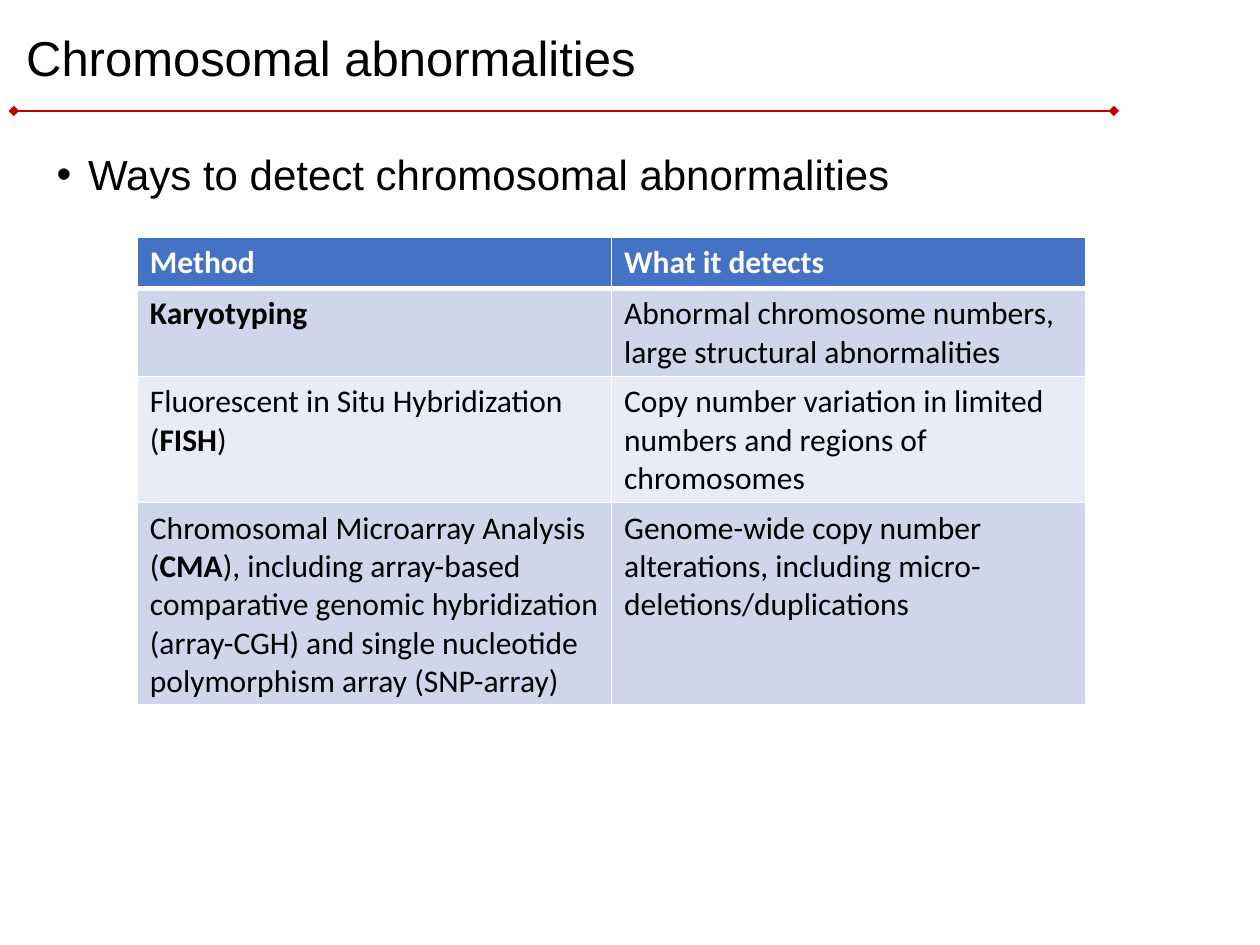
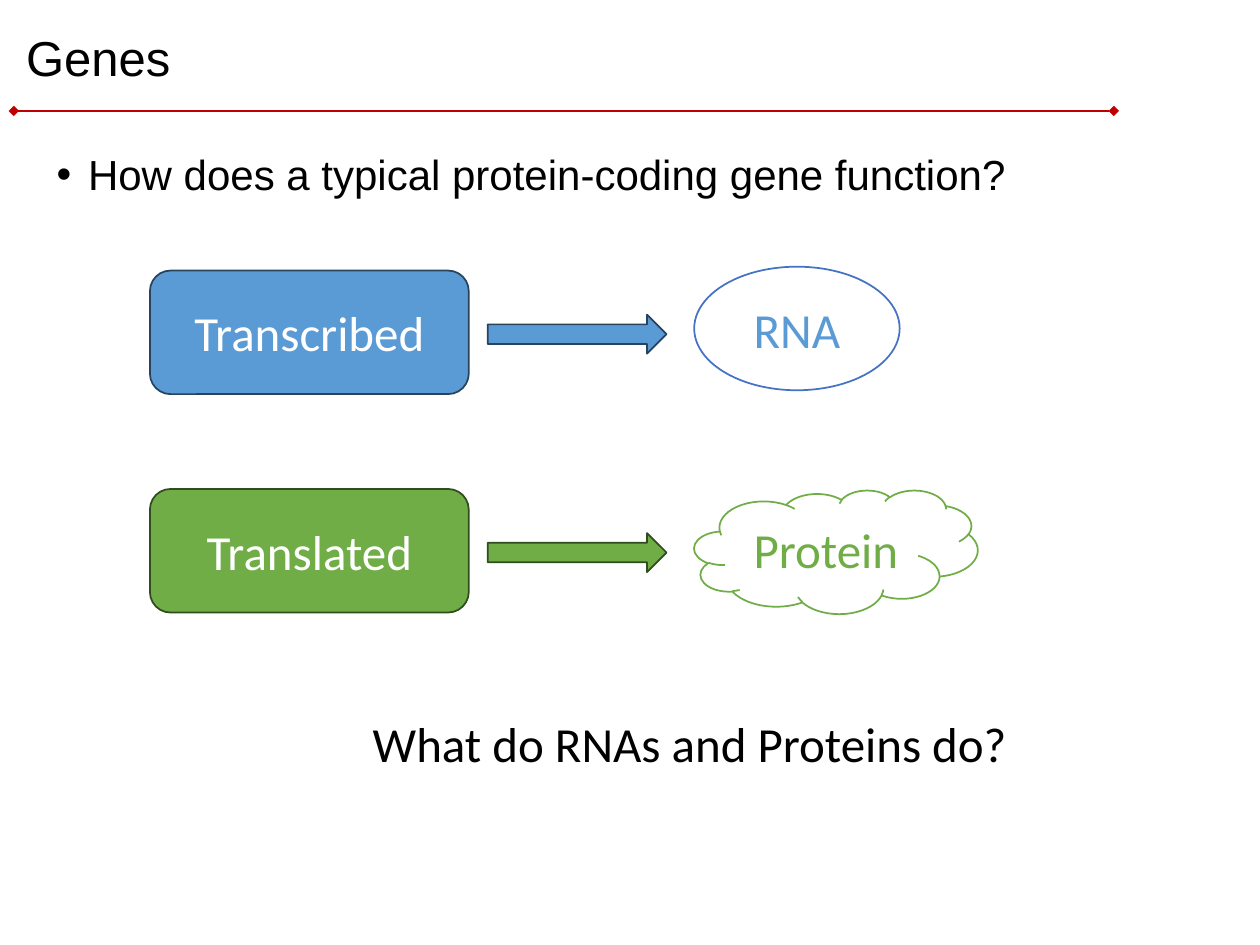
from lxml import etree
from pptx import Presentation
from pptx.dml.color import RGBColor
from pptx.enum.shapes import MSO_CONNECTOR, MSO_SHAPE
from pptx.enum.text import MSO_ANCHOR, MSO_AUTO_SIZE, PP_ALIGN
from pptx.oxml.ns import qn
from pptx.util import Pt

STRAIGHT = MSO_CONNECTOR.STRAIGHT
ROUNDED, ARROW = MSO_SHAPE.ROUNDED_RECTANGLE, MSO_SHAPE.RIGHT_ARROW
ELLIPSE, CLOUD = MSO_SHAPE.OVAL, MSO_SHAPE.CLOUD
MIDDLE, TOP = MSO_ANCHOR.MIDDLE, MSO_ANCHOR.TOP
CENTER = PP_ALIGN.CENTER
GROW = MSO_AUTO_SIZE.SHAPE_TO_FIT_TEXT

BLACK = RGBColor(0x00, 0x00, 0x00)
WHITE = RGBColor(0xFF, 0xFF, 0xFF)
RED = RGBColor(0xC0, 0x00, 0x00)
HEADER_BLUE = RGBColor(0x44, 0x72, 0xC4)
BAND_DARK = RGBColor(0xCF, 0xD5, 0xEA)
BAND_LIGHT = RGBColor(0xE9, 0xEB, 0xF5)
BLUE = RGBColor(0x5B, 0x9B, 0xD5)
BLUE_EDGE = RGBColor(0x28, 0x44, 0x5D)
GREEN = RGBColor(0x70, 0xAD, 0x47)
GREEN_EDGE = RGBColor(0x31, 0x4C, 0x1F)

HEADING_FONT, CONTENT_FONT = "Arial", "Calibri"
TITLE_BOX = (7.9, 4.3, 653, 60.5)
BODY_BOX = (25.2, 75.6, 663, 411)
RULE_LEFT, RULE_RIGHT, RULE_Y = 7.9, 636.5, 63.4

# Each cell is a list of (text, bold) runs.
METHODS = [
    ([("Method", True)], [("What it detects", True)]),
    ([("Karyotyping", True)],
     [("Abnormal chromosome numbers, large structural abnormalities", False)]),
    ([("Fluorescent in Situ Hybridization (", False), ("FISH", True), (")", False)],
     [("Copy number variation in limited numbers and regions of chromosomes", False)]),
    ([("Chromosomal Microarray Analysis (", False), ("CMA", True),
      ("), including array-based comparative genomic hybridization (array-CGH) "
       "and single nucleotide polymorphism array (SNP-array)", False)],
     [("Genome-wide copy number alterations, including "
       "micro-deletions/duplications", False)]),
]


def points(*lengths):
    return [Pt(length) for length in lengths]


def style_font(font, name, size, color, bold=False):
    font.name, font.size, font.bold = name, Pt(size), bold
    font.color.rgb = color


def add_text(slide, box, text, font_name, size, anchor=TOP, wrap=True):
    text_box = slide.shapes.add_textbox(*points(*box))
    frame = text_box.text_frame
    frame.word_wrap = wrap
    frame.vertical_anchor = anchor
    frame.text = text
    style_font(frame.paragraphs[0].runs[0].font, font_name, size, BLACK)
    return frame


def add_rule(slide):
    rule = slide.shapes.add_connector(
        STRAIGHT, *points(RULE_LEFT, RULE_Y, RULE_RIGHT, RULE_Y))
    rule.line.color.rgb = RED
    rule.line.width = Pt(1)
    line = rule.line._get_or_add_ln()
    for end in ("a:headEnd", "a:tailEnd"):
        etree.SubElement(line, qn(end), type="diamond")
    etree.SubElement(rule._element.spPr, qn("a:effectLst"))


def add_bullet(paragraph, indent):
    properties = paragraph._p.get_or_add_pPr()
    properties.set("marL", str(Pt(indent)))
    properties.set("indent", str(Pt(-indent)))
    etree.SubElement(properties, qn("a:buFont"), typeface=HEADING_FONT)
    etree.SubElement(properties, qn("a:buChar"), char="•")


def add_titled_slide(presentation, title, topic):
    slide = presentation.slides.add_slide(presentation.slide_layouts[6])
    add_rule(slide)
    heading = add_text(slide, TITLE_BOX, title, HEADING_FONT, 28, MIDDLE)
    heading.paragraphs[0].line_spacing = 0.9
    body = add_text(slide, BODY_BOX, topic, HEADING_FONT, 24)
    add_bullet(body.paragraphs[0], 18)
    body.paragraphs[0].line_spacing = 1.2
    return slide


def set_borders(cell, top, bottom):
    """Draw white edges; top and bottom are widths in points."""
    properties = cell._tc.get_or_add_tcPr()
    for side, width in (("L", 1), ("R", 1), ("T", top), ("B", bottom)):
        edge = etree.SubElement(properties, qn(f"a:ln{side}"), w=str(Pt(width)))
        fill = etree.SubElement(edge, qn("a:solidFill"))
        etree.SubElement(fill, qn("a:srgbClr"), val=str(WHITE))


def add_methods_table(slide, left, top, width, row_height):
    height = row_height * len(METHODS)
    table = slide.shapes.add_table(
        len(METHODS), 2, *points(left, top, width, height)).table
    for row, contents in enumerate(METHODS):
        is_header = row == 0
        if is_header:
            fill, color = HEADER_BLUE, WHITE
        else:
            fill, color = (BAND_DARK if row % 2 else BAND_LIGHT), BLACK
        for column, runs in enumerate(contents):
            cell = table.cell(row, column)
            set_borders(cell, 3 if row == 1 else 1, 3 if is_header else 1)
            cell.fill.solid()
            cell.fill.fore_color.rgb = fill
            paragraph = cell.text_frame.paragraphs[0]
            for text, bold in runs:
                run = paragraph.add_run()
                run.text = text
                style_font(run.font, CONTENT_FONT, 18, color, bold)


def add_figure(slide, preset, box, fill, edge, label="", label_color=WHITE):
    figure = slide.shapes.add_shape(preset, *points(*box))
    figure.shadow.inherit = False
    figure.fill.solid()
    figure.fill.fore_color.rgb = fill
    figure.line.color.rgb = edge
    figure.line.width = Pt(1)
    if label:
        frame = figure.text_frame
        frame.text = label
        frame.vertical_anchor = MIDDLE
        frame.paragraphs[0].alignment = CENTER
        style_font(frame.paragraphs[0].runs[0].font, CONTENT_FONT, 28, label_color)


def add_gene_step(slide, left, top, step, color, edge, product):
    """Draw a step, an arrow and its product; product offset is from top."""
    name, preset, width, offset, product_edge = product
    add_figure(slide, ROUNDED, (left, top, 182.2, 70.6), color, edge, step)
    add_figure(slide, ARROW, (left + 193, top + 25.2, 102.2, 22.3), color, edge)
    add_figure(slide, preset, (left + 311, top + offset, width, 70.6),
               WHITE, product_edge, name, color)


def build_abnormalities_slide(presentation):
    slide = add_titled_slide(presentation, "Chromosomal abnormalities",
                             "Ways to detect chromosomal abnormalities")
    add_methods_table(slide, 78.5, 135.6, 542, 29.2)


def build_genes_slide(presentation):
    slide = add_titled_slide(presentation, "Genes",
                             "How does a typical protein-coding gene function?")
    steps = [
        ("Transcribed", BLUE, BLUE_EDGE, ("RNA", ELLIPSE, 117.4, -2.2, HEADER_BLUE)),
        ("Translated", GREEN, GREEN_EDGE, ("Protein", CLOUD, 162, 0.7, GREEN)),
    ]
    for index, step in enumerate(steps):
        add_gene_step(slide, 85.7, 154.6 + 124.8 * index, *step)
    question = add_text(slide, (205.9, 404, 380.9, 41),
                        "What do RNAs and Proteins do?", CONTENT_FONT, 28, wrap=False)
    question.auto_size = GROW


def main():
    presentation = Presentation()
    presentation.slide_width, presentation.slide_height = points(720, 540)
    build_abnormalities_slide(presentation)
    build_genes_slide(presentation)
    presentation.save("out.pptx")


if __name__ == "__main__":
    main()
